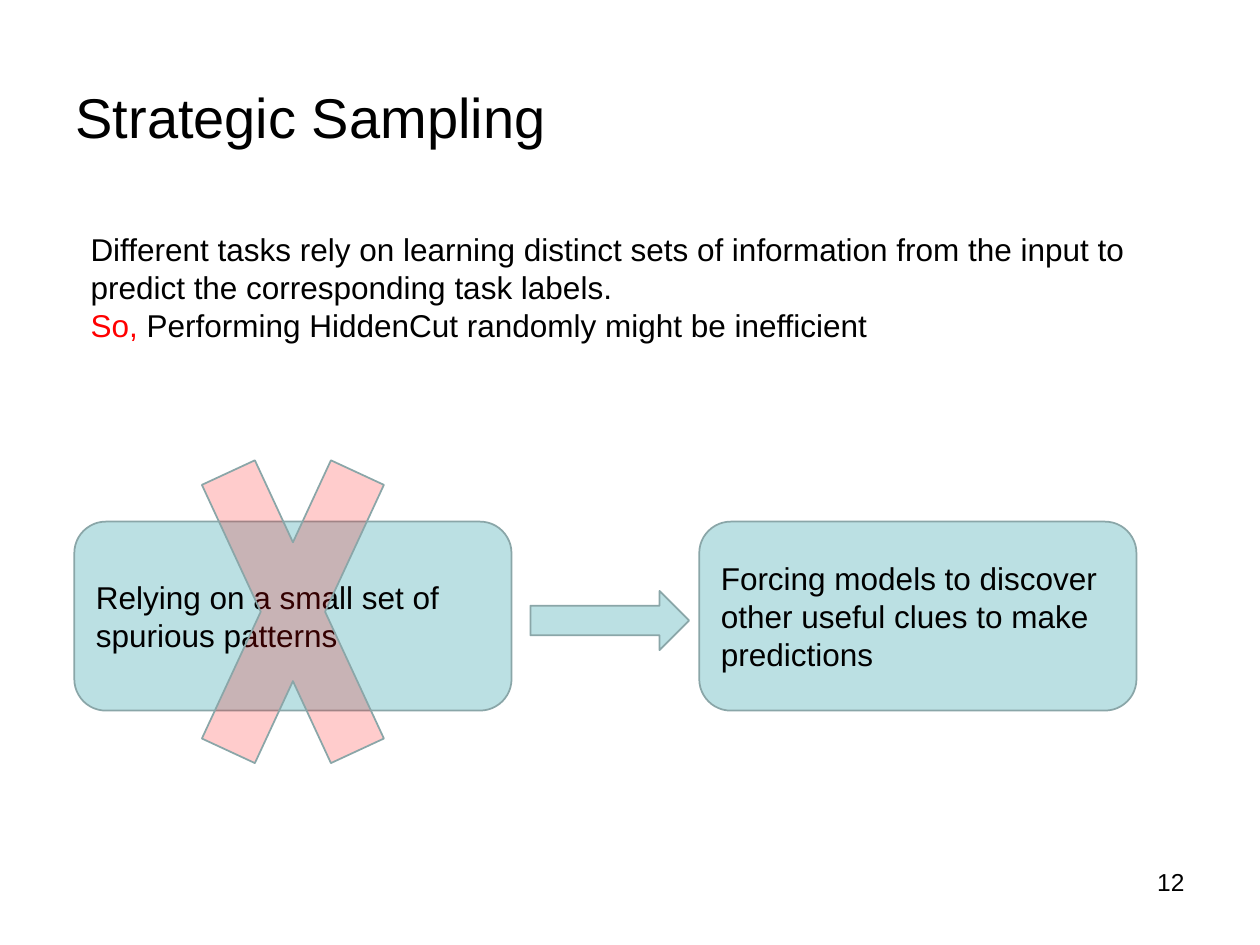
import pptx
import pptx.util
import pptx.dml.color
import pptx.enum.shapes
import pptx.enum.text
import pptx.oxml.ns
import lxml.etree

Inches = pptx.util.Inches
SHAPE = pptx.enum.shapes.MSO_SHAPE
ANCHOR = pptx.enum.text.MSO_ANCHOR
ALIGN = pptx.enum.text.PP_ALIGN


def rgb(color):
    return pptx.dml.color.RGBColor.from_string(color)


class Deck:
    font = "Arial"
    ink = "000000"
    accent = "FF0000"
    panel = "BBE0E3"
    outline = "8AA6A8"

    def __init__(self, width, height):
        self.prs = pptx.Presentation()
        self.prs.slide_width = Inches(width)
        self.prs.slide_height = Inches(height)
        self.s = self.prs.slides.add_slide(self.prs.slide_layouts[5])

    def set_text(self, sp, paragraphs, size, anchor=ANCHOR.TOP, align=ALIGN.LEFT):
        tf = sp.text_frame
        tf.word_wrap = True
        tf.auto_size = pptx.enum.text.MSO_AUTO_SIZE.NONE
        tf.vertical_anchor = anchor
        for i, runs in enumerate(paragraphs):
            p = tf.add_paragraph() if i else tf.paragraphs[0]
            p.alignment = align
            p.font.name = self.font
            p.font.size = pptx.util.Pt(size)
            for text, color in runs:
                r = p.add_run()
                r.text = text
                r.font.color.rgb = rgb(color)

    def title(self, text, x, y, w, h):
        sp = self.s.shapes.title
        sp.left, sp.top, sp.width, sp.height = map(Inches, (x, y, w, h))
        self.set_text(sp, [[(text, self.ink)]], 32, ANCHOR.MIDDLE)

    def text(self, paragraphs, x, y, w, h, size=18, align=ALIGN.LEFT):
        sp = self.s.shapes.add_textbox(*map(Inches, (x, y, w, h)))
        self.set_text(sp, paragraphs, size, align=align)

    def shape(self, kind, x, y, w, h, fill=panel, alpha=None, text=None):
        sp = self.s.shapes.add_shape(kind, *map(Inches, (x, y, w, h)))
        sp.shadow.inherit = False
        sp.fill.solid()
        sp.fill.fore_color.rgb = rgb(fill)
        sp.line.color.rgb = rgb(self.outline)
        sp.line.width = pptx.util.Pt(1)
        if alpha is not None:
            qn = pptx.oxml.ns.qn
            color = sp.element.spPr.find(qn("a:solidFill")).find(qn("a:srgbClr"))
            lxml.etree.SubElement(color, qn("a:alpha"), val=str(alpha * 1000))
        if text:
            self.set_text(sp, [[(text, self.ink)]], 18, ANCHOR.MIDDLE)


def main():
    deck = Deck(10, 7.5)
    deck.title("Strategic Sampling", 0.5, 0.3, 9, 1.25)
    deck.text(
        [
            [("Different tasks rely on learning distinct sets of information from "
              "the input to predict the corresponding task labels.", deck.ink)],
            [("So, ", deck.accent),
             ("Performing HiddenCut randomly might be inefficient", deck.ink)],
        ],
        0.62, 1.78, 8.88, 1.92)
    for x, text in (
        (5.55, "Forcing models to discover other useful clues to make predictions"),
        (0.59, "Relying on a small set of spurious patterns"),
    ):
        deck.shape(SHAPE.ROUNDED_RECTANGLE, x, 4.14, 3.47, 1.5, text=text)
    deck.shape(SHAPE.RIGHT_ARROW, 4.21, 4.69, 1.26, 0.47)
    deck.shape(SHAPE.MATH_MULTIPLY, 1.34, 2.73, 1.97, 4.25, deck.accent, alpha=20)
    deck.text([[("12", deck.ink)]], 7.17, 6.83, 2.33, 0.52, 14, ALIGN.RIGHT)
    deck.prs.save("out.pptx")


if __name__ == "__main__":
    main()
